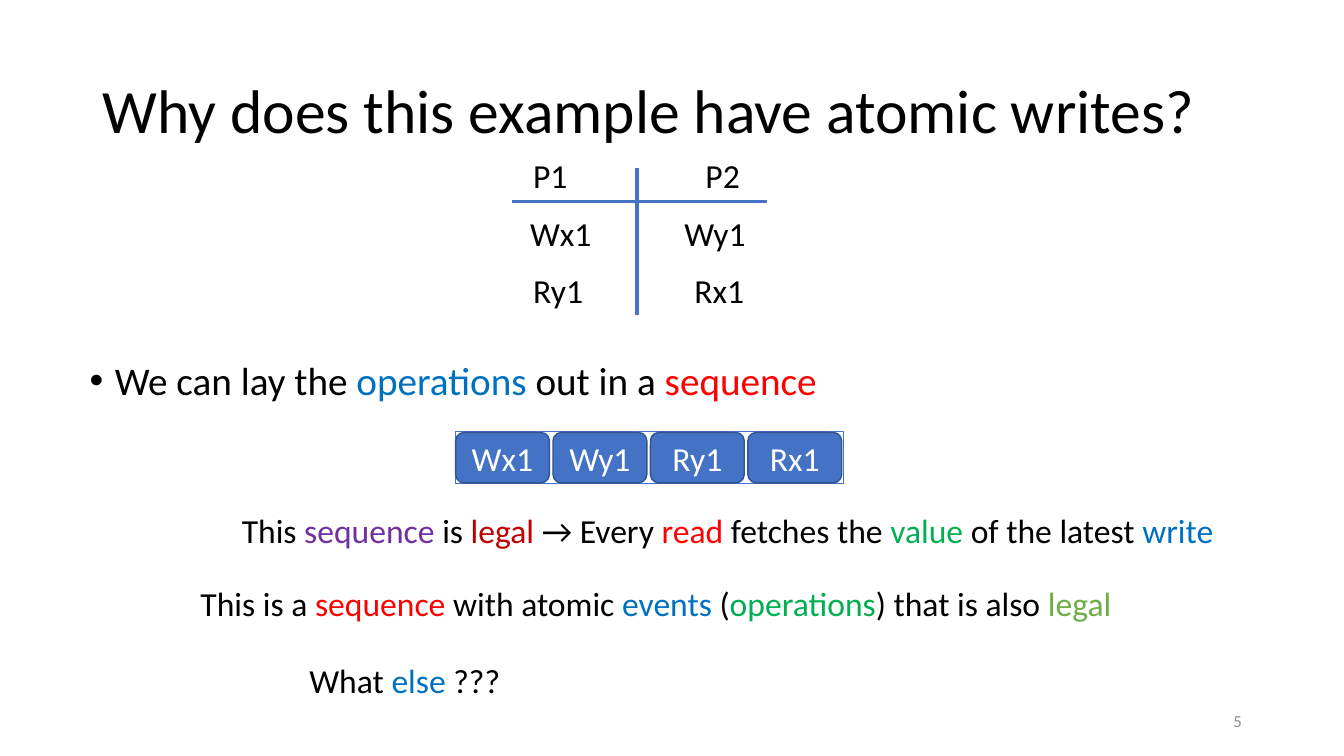
from dataclasses import dataclass

from lxml import etree
from pptx import Presentation, util as u
from pptx.dml.color import RGBColor
from pptx.enum import shapes, text
from pptx.oxml.ns import qn

WIDTH, HEIGHT = u.Inches(13.333), u.Inches(7.5)
FONT = "Calibri"
COLOURS = {
    "black": "000000", "white": "FFFFFF", "grey": "8C8C8C",
    "accent": "4472C4", "edge": "325491", "blue": "0070C0",
    "red": "FF0000", "dark red": "C00000", "purple": "7030A0",
    "green": "00B050", "light green": "70AD47",
}
Spans = list[tuple[str, str]]


@dataclass
class Place:
    """Left, top, width and height in percent of the slide."""
    left: float
    top: float
    width: float
    height: float = 6.67


@dataclass
class Label:
    place: Place
    spans: Spans
    size: int = 24
    wrap: bool = False
    middle: bool = False
    align: text.PP_ALIGN = text.PP_ALIGN.LEFT
    spacing: float = 1.0
    bullet: bool = False


def across(share: float) -> int:
    return round(WIDTH * share / 100)


def down(share: float) -> int:
    return round(HEIGHT * share / 100)


def bounds(place: Place) -> tuple[int, int, int, int]:
    return across(place.left), down(place.top), across(place.width), down(place.height)


def colour(name: str) -> RGBColor:
    return RGBColor.from_string(COLOURS[name])


def add_bullet(para) -> None:
    properties = para._p.get_or_add_pPr()
    properties.set("marL", str(u.Inches(0.25)))
    properties.set("indent", str(u.Inches(-0.25)))
    etree.SubElement(properties, qn("a:buFont")).set("typeface", "Arial")
    etree.SubElement(properties, qn("a:buChar")).set("char", "•")


def add_label(page, label: Label) -> None:
    frame = page.shapes.add_textbox(*bounds(label.place)).text_frame
    frame.word_wrap = label.wrap
    if not label.wrap:
        frame.auto_size = text.MSO_AUTO_SIZE.SHAPE_TO_FIT_TEXT
    if label.middle:
        frame.vertical_anchor = text.MSO_ANCHOR.MIDDLE
    para = frame.paragraphs[0]
    para.alignment = label.align
    para.line_spacing = label.spacing
    if label.bullet:
        add_bullet(para)
    para.font.name, para.font.size = FONT, u.Pt(label.size)
    for words, name in label.spans:
        span = para.add_run()
        span.text = words
        span.font.color.rgb = colour(name)


def add_line(page, start: tuple[float, float], end: tuple[float, float]) -> None:
    line = page.shapes.add_connector(
        shapes.MSO_CONNECTOR.STRAIGHT,
        across(start[0]), down(start[1]), across(end[0]), down(end[1]))
    line.line.color.rgb = colour("accent")
    line.line.width = u.Pt(2.25)
    etree.SubElement(line._element.spPr, qn("a:effectLst"))


def add_block(page, kind: shapes.MSO_SHAPE, place: Place, fill: str, edge: str,
              words: str = "") -> None:
    block = page.shapes.add_shape(kind, *bounds(place))
    block.shadow.inherit = False
    block.fill.solid()
    block.fill.fore_color.rgb = colour(fill)
    block.line.color.rgb = colour(edge)
    block.line.width = u.Pt(1)
    if words:
        frame = block.text_frame
        frame.vertical_anchor = text.MSO_ANCHOR.MIDDLE
        para = frame.paragraphs[0]
        para.text = words
        para.alignment = text.PP_ALIGN.CENTER
        para.font.name, para.font.size = FONT, u.Pt(24)
        para.font.color.rgb = colour("white")


TITLE = Label(Place(6.9, 5.33, 86.25, 19.33),
              [("Why does this example have atomic writes?", "black")],
              size=44, wrap=True, middle=True, spacing=0.9)
POINT = Label(Place(5.93, 47.73, 85.43),
              [("We can lay the ", "black"), ("operations", "blue"),
               (" out in a ", "black"), ("sequence", "red")],
              size=28, wrap=True, spacing=0.8, bullet=True)

# Each program row: label width, then (left, words) for both processors
PROGRAM_TOP, PROGRAM_STEP = 19.87, 7.6
PROGRAM = [
    (4.13, (38.93, "P1"), (51.75, "P2")),
    (6.6, (38.7, "Wx1 "), (50.18, "Wy1 ")),
    (5.7, (38.93, "Ry1 "), (50.93, "Rx1 ")),
]

SEQUENCE = ["Wx1", "Wy1", "Ry1", "Rx1"]
SEQUENCE_LEFT, SEQUENCE_STEP = 33.9, 7.25

STATEMENTS = [
    Label(Place(17.25, 66.8, 74.1),
          [("This ", "black"), ("sequence", "purple"), (" is ", "black"),
           ("legal ", "dark red"), ("→ Every ", "black"), ("read", "red"),
           (" fetches the ", "black"), ("value", "green"),
           (" of the latest ", "black"), ("write", "blue")]),
    Label(Place(14.18, 76.4, 69.9),
          [("This is a ", "black"), ("sequence", "red"), (" with atomic ", "black"),
           ("events", "blue"), (" (", "black"), ("operations", "green"),
           (") that is also ", "black"), ("legal", "light green")]),
    Label(Place(22.28, 86.67, 15.83),
          [("What ", "black"), ("else", "blue"), (" ???", "black")]),
]
PAGE_NUMBER = Label(Place(70.65, 92.67, 22.5, 5.33), [("5", "grey")], size=12,
                    wrap=True, middle=True, align=text.PP_ALIGN.RIGHT)


def main() -> None:
    deck = Presentation()
    deck.slide_width, deck.slide_height = WIDTH, HEIGHT
    page = deck.slides.add_slide(deck.slide_layouts[6])

    # Title and bullet point
    add_label(page, TITLE)
    add_label(page, POINT)

    # Two-processor program
    add_line(page, (47.4, 22.27), (47.4, 41.73))
    for row, (width, *cells) in enumerate(PROGRAM):
        for left, words in cells:
            place = Place(left, PROGRAM_TOP + row * PROGRAM_STEP, width)
            add_label(page, Label(place, [(words, "black")]))
    add_line(page, (38.1, 26.67), (57.08, 26.67))

    # Framed sequence of operations
    add_block(page, shapes.MSO_SHAPE.RECTANGLE,
              Place(SEQUENCE_LEFT, 57.07, 28.88, 6.93), "white", "accent")
    for index, operation in enumerate(SEQUENCE):
        place = Place(SEQUENCE_LEFT + index * SEQUENCE_STEP, 57.2, 6.98)
        add_block(page, shapes.MSO_SHAPE.ROUNDED_RECTANGLE, place,
                  "accent", "edge", operation)

    # Statements and page number
    for label in [*STATEMENTS, PAGE_NUMBER]:
        add_label(page, label)

    deck.save("out.pptx")


if __name__ == "__main__":
    main()
